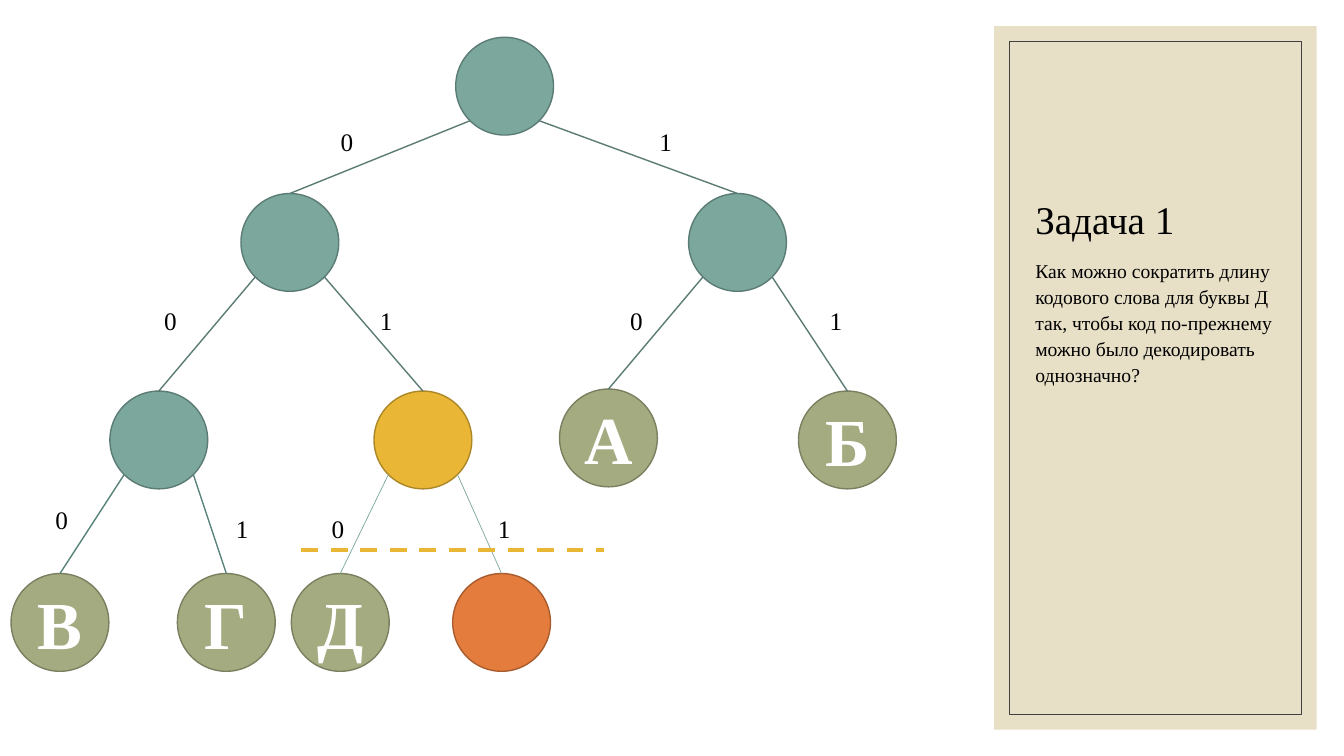
"""Build a slide with a binary code tree and a task panel."""
import math
import lxml.etree
import pptx
import pptx.util
import pptx.dml.color
import pptx.enum.dml
import pptx.enum.shapes
import pptx.enum.text
import pptx.oxml.ns

TITLE = "Задача 1"
TASK = ("Как можно сократить длину кодового слова для буквы Д так, "
        "чтобы код по-прежнему можно было декодировать однозначно?")

# key: (left, top, kind, letter)
NODES = {
    "root": (452, 37, "inner", ""),
    "0": (239, 192, "inner", ""),
    "1": (683, 192, "inner", ""),
    "00": (109, 388, "inner", ""),
    "01": (371, 388, "mark", ""),
    "10": (555, 386, "leaf", "А"),
    "11": (792, 388, "leaf", "Б"),
    "000": (11, 569, "leaf", "В"),
    "001": (176, 569, "leaf", "Г"),
    "010": (289, 569, "leaf", "Д"),
    "011": (449, 569, "free", ""),
}
# key of lower node: left and top of the digit on its edge
DIGITS = {
    "0": (328, 120), "1": (644, 120),
    "00": (153, 298), "01": (367, 298), "10": (615, 298), "11": (813, 298),
    "000": (45, 495), "001": (224, 504), "010": (319, 504), "011": (484, 504),
}
CUT = (299, 546, 599, 546)
PANEL, FRAME = (986, 26, 320, 698), (1001, 41, 290, 668)
HEAD, BODY = (1017, 66, 266, 180), (1017, 250, 266, 383)
SIZE, DIGIT = 97, (29, 32)

THEME = {
    "font": "Times New Roman", "text": "000000", "white": "FFFFFF",
    "panel": "E7E0C7", "frame": "404040", "cut": "E9B635",
    "inner": ("7BA79D", "5B7C74"), "leaf": ("A5AB81", "7A7F5F"),
    "mark": ("E9B635", "AC8727"), "free": ("E37C3D", "A85C2D"),
    "edge": ("5B7C74", 1), "low": ("578279", 1), "thin": ("7BA79D", 0.5),
    "title": 28, "body": 14, "digit": 18, "letter": 48,
}
KINDS = pptx.enum.shapes.MSO_SHAPE
ANCHOR = pptx.enum.text.MSO_ANCHOR


def px(*vals):
    return [pptx.util.Emu(round(v * 9144)) for v in vals]


def rgb(code):
    return pptx.dml.color.RGBColor.from_string(code)


def stroke(line, color, width):
    line.color.rgb = rgb(color)
    line.width = pptx.util.Pt(width)


def write(frame, text, size, color="text", bold=False):
    frame.word_wrap = True
    para = frame.paragraphs[0]
    para.text = text
    font = para.font
    font.name, font.size, font.bold = THEME["font"], pptx.util.Pt(size), bold
    font.color.rgb = rgb(THEME[color])
    return para


def label(slide, box, text, size, anchor=ANCHOR.TOP):
    frame = slide.shapes.add_textbox(*px(*box)).text_frame
    frame.vertical_anchor = anchor
    return write(frame, text, size)


def shape(slide, kind, box, fill=None, line=None, width=1):
    item = slide.shapes.add_shape(kind, *px(*box))
    item.shadow.inherit = False
    if fill:
        item.fill.solid()
        item.fill.fore_color.rgb = rgb(fill)
    else:
        item.fill.background()
    if line:
        stroke(item.line, line, width)
    else:
        item.line.fill.background()
    return item


def link(slide, ends, color, width):
    item = slide.shapes.add_connector(
        pptx.enum.shapes.MSO_CONNECTOR.STRAIGHT, *px(*ends))
    stroke(item.line, color, width)
    lxml.etree.SubElement(item._element.spPr, pptx.oxml.ns.qn("a:effectLst"))
    return item


def panel(slide):
    shape(slide, KINDS.RECTANGLE, PANEL, THEME["panel"])
    shape(slide, KINDS.RECTANGLE, FRAME, None, THEME["frame"], 0.5)
    label(slide, HEAD, TITLE, THEME["title"], ANCHOR.BOTTOM).line_spacing = 0.9
    label(slide, BODY, TASK, THEME["body"]).line_spacing = 1.1


def node(slide, left, top, kind, letter):
    item = shape(slide, KINDS.OVAL, (left, top, SIZE, SIZE), *THEME[kind])
    if letter:
        frame = item.text_frame
        frame.vertical_anchor = ANCHOR.MIDDLE
        para = write(frame, letter, THEME["letter"], "white", True)
        para.alignment = pptx.enum.text.PP_ALIGN.CENTER


def edge(slide, key):
    left, top, kind, _ = NODES[key[:-1] or "root"]
    low = NODES[key]
    half = SIZE / 2
    reach = half * math.sqrt(0.5)
    side = reach if key[-1] == "1" else -reach
    ends = (left + half + side, top + half + reach, low[0] + half, low[1])
    style = "thin" if kind == "mark" else "low" if len(key) == 3 else "edge"
    link(slide, ends, *THEME[style])


def main():
    deck = pptx.Presentation()
    deck.slide_width, deck.slide_height = px(1333, 750)
    slide = deck.slides.add_slide(deck.slide_layouts[6])
    panel(slide)
    for spot in NODES.values():
        node(slide, *spot)
    for key, spot in DIGITS.items():
        edge(slide, key)
        label(slide, spot + DIGIT, key[-1], THEME["digit"])
    cut = link(slide, CUT, THEME["cut"], 3)
    cut.line.dash_style = pptx.enum.dml.MSO_LINE.DASH
    deck.save("out.pptx")


if __name__ == "__main__":
    main()
